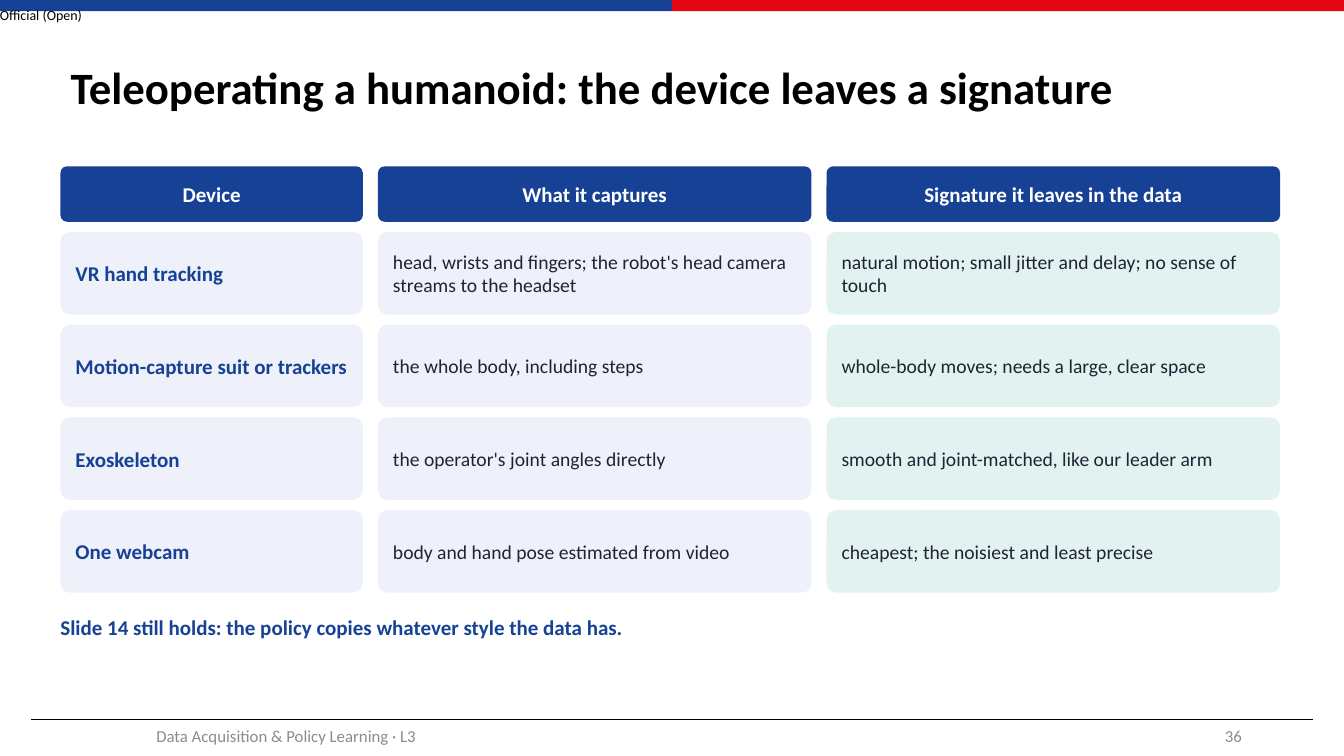
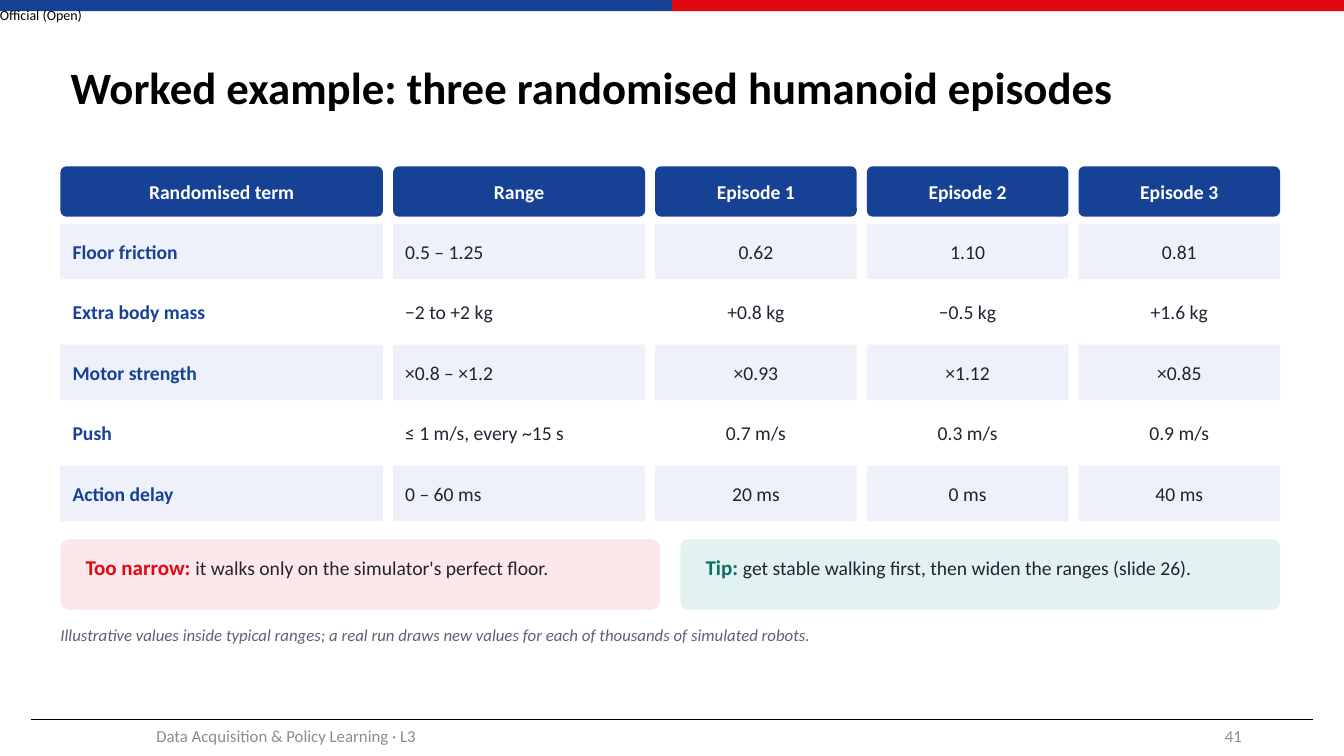
from dataclasses import dataclass, field
from itertools import accumulate

from lxml.etree import SubElement
from pptx import Presentation
from pptx.dml.color import RGBColor as RGB
from pptx.enum.shapes import MSO_CONNECTOR as LINE, MSO_SHAPE as SHAPE
from pptx.enum.text import MSO_ANCHOR as ANCHOR, PP_ALIGN as ALIGN
from pptx.oxml.ns import qn
from pptx.util import Pt


def style(color, size, **more):
    return {"color": color, "size": Pt(size), **more}


@dataclass(frozen=True)
class Theme:
    font: str = "Calibri"
    blue: str = "164194"
    red: str = "E30613"
    black: str = "000000"
    white: str = "FFFFFF"
    pale: str = "EEF1F9"
    mint: str = "E2F2F1"
    rose: str = "FCE8EA"
    wide: float = 960
    high: float = 540
    left: float = 43.2
    top: float = 118.8
    span: float = 871.2
    curve: float = 0.12
    text: dict = field(default_factory=lambda: {
        "title": style("000000", 32, bold=True),
        "mark": style("000000", 10),
        "foot": style("8C8C8C", 12),
        "head": style("FFFFFF", 15, bold=True),
        "key": style("164194", 15, bold=True),
        "head small": style("FFFFFF", 14, bold=True),
        "key small": style("164194", 14, bold=True),
        "body": style("1F2433", 14, bold=False),
        "warn": style("E30613", 15, bold=True),
        "tip": style("0F6E6A", 15, bold=True),
        "note": style("5B6275", 12, italic=True),
    })


T = Theme()
FLUSH = (0, 0, 0, 0)
CELL = (8.64, 4.32, 8.64, 4.32)
INNER = (7.2, 3.6, 7.2, 3.6)
CALL = (16.2, 9, 16.2, 9)


def write(shape, runs, inset, anchor=ANCHOR.MIDDLE, align=ALIGN.LEFT):
    """Fill a shape with one paragraph of (text, style name) runs."""
    frame = shape.text_frame
    sides = ("margin_left", "margin_top", "margin_right", "margin_bottom")
    form = dict(zip(sides, map(Pt, inset)),
                word_wrap=True, vertical_anchor=anchor)
    for name, value in form.items():
        setattr(frame, name, value)
    para = frame.paragraphs[0]
    para.alignment = align
    for text, kind in runs:
        run = para.add_run()
        run.text = text
        run.font.name = T.font
        for name, value in T.text[kind].items():
            if name == "color":
                run.font.color.rgb = RGB.from_string(value)
            else:
                setattr(run.font, name, value)
    return para


def block(slide, box, fill, kind=SHAPE.RECTANGLE):
    shape = slide.shapes.add_shape(kind, *map(Pt, box))
    shape.shadow.inherit = False
    shape.fill.solid()
    shape.fill.fore_color.rgb = RGB.from_string(fill)
    shape.line.fill.background()
    if kind == SHAPE.ROUNDED_RECTANGLE:
        shape.adjustments[0] = T.curve
    return shape


def label(slide, box, text, kind, inset=FLUSH, **form):
    shape = slide.shapes.add_textbox(*map(Pt, box))
    write(shape, [(text, kind)], inset, **form)


def rule(slide, start, end, y):
    line = slide.shapes.add_connector(LINE.STRAIGHT, *map(Pt, (start, y, end, y)))
    line.line.color.rgb = RGB.from_string(T.black)
    line.line.width = Pt(0.5)
    SubElement(line.element.spPr, qn("a:effectLst"))


def start(deck, title, page):
    """Add a slide with the shared bands, title and footer."""
    slide = deck.slides.add_slide(deck.slide_layouts[5])
    half = T.wide / 2
    for i, color in enumerate((T.blue, T.red)):
        block(slide, (i * half, 0, half, 7.92), color)
    label(slide, (0, 0, 81.36, 20.88), "Official (Open)", "mark")
    rule(slide, 22.32, 938.16, 514.08)
    label(slide, (42.48, 511.2, 324, 28.8),
          "Data Acquisition & Policy Learning · L3", "foot", INNER,
          align=ALIGN.CENTER)
    label(slide, (678.24, 511.2, 216, 28.8), str(page), "foot", INNER,
          align=ALIGN.RIGHT)
    head = slide.shapes.title
    place = dict(left=T.left, top=21.6, width=869.76, height=84.96)
    for name, value in place.items():
        setattr(head, name, Pt(value))
    write(head, [(title, "title")], INNER).line_spacing = 0.9
    return slide


def row(slide, y, high, widths, gap, cells):
    """Draw one row of (text, style, fill, align, shape) cells."""
    lefts = accumulate((w + gap for w in widths), initial=T.left)
    for x, wide, (text, kind, fill, align, form) in zip(lefts, widths, cells):
        shape = block(slide, (x, y, wide, high), fill, form)
        write(shape, [(text, kind)], CELL, align=align)


def header(slide, high, widths, gap, names, kind):
    row(slide, T.top, high, widths, gap,
        [(name, kind, T.blue, ALIGN.CENTER, SHAPE.ROUNDED_RECTANGLE)
         for name in names])


def callout(slide, x, wide, lead, kind, text, fill):
    shape = block(slide, (x, 385.2, wide, 50.4), fill, SHAPE.ROUNDED_RECTANGLE)
    write(shape, [(lead, kind), (text, "body")], CALL, anchor=ANCHOR.TOP)


def devices(deck):
    slide = start(deck, "Teleoperating a humanoid: the device leaves a signature", 36)
    widths, gap, space, high = (216, 309.6, 324), 10.8, 7.2, 59.04
    header(slide, 39.6, widths, gap,
           ("Device", "What it captures", "Signature it leaves in the data"),
           "head")
    rows = (
        ("VR hand tracking",
         "head, wrists and fingers; the robot's head camera streams to the headset",
         "natural motion; small jitter and delay; no sense of touch"),
        ("Motion-capture suit or trackers",
         "the whole body, including steps",
         "whole-body moves; needs a large, clear space"),
        ("Exoskeleton",
         "the operator's joint angles directly",
         "smooth and joint-matched, like our leader arm"),
        ("One webcam",
         "body and hand pose estimated from video",
         "cheapest; the noisiest and least precise"),
    )
    kinds, fills = ("key", "body", "body"), (T.pale, T.pale, T.mint)
    first = T.top + 39.6 + space
    for i, texts in enumerate(rows):
        cells = [(text, kind, fill, ALIGN.LEFT, SHAPE.ROUNDED_RECTANGLE)
                 for text, kind, fill in zip(texts, kinds, fills)]
        row(slide, first + i * (high + space), high, widths, gap, cells)
    label(slide, (T.left, 439.2, T.span, 28.8),
          "Slide 14 still holds: the policy copies whatever style the data has.",
          "key", anchor=ANCHOR.TOP)


def episodes(deck):
    slide = start(deck, "Worked example: three randomised humanoid episodes", 41)
    widths, gap, high = (230.4, 180, 144, 144, 144), 7.2, 39.6
    header(slide, 36, widths, gap,
           ("Randomised term", "Range", "Episode 1", "Episode 2", "Episode 3"),
           "head small")
    rows = (
        ("Floor friction", "0.5 – 1.25", "0.62", "1.10", "0.81"),
        ("Extra body mass", "−2 to +2 kg", "+0.8 kg", "−0.5 kg", "+1.6 kg"),
        ("Motor strength", "×0.8 – ×1.2", "×0.93", "×1.12", "×0.85"),
        ("Push", "≤ 1 m/s, every ~15 s", "0.7 m/s", "0.3 m/s", "0.9 m/s"),
        ("Action delay", "0 – 60 ms", "20 ms", "0 ms", "40 ms"),
    )
    kinds = ["key small"] + ["body"] * 4
    aligns = [ALIGN.LEFT] * 2 + [ALIGN.CENTER] * 3
    for i, texts in enumerate(rows):
        fill = T.white if i % 2 else T.pale
        cells = [(text, kind, fill, align, SHAPE.RECTANGLE)
                 for text, kind, align in zip(texts, kinds, aligns)]
        row(slide, 159.84 + i * (high + 3.6), high, widths, gap, cells)
    calls = (
        ("Too narrow: ", "warn",
         "it walks only on the simulator's perfect floor.", T.rose),
        ("Tip: ", "tip",
         "get stable walking first, then widen the ranges (slide 26).", T.mint),
    )
    space = 14.4
    wide = (T.span - space) / 2
    for i, call in enumerate(calls):
        callout(slide, T.left + i * (wide + space), wide, *call)
    label(slide, (T.left, 446.4, T.span, 25.2),
          "Illustrative values inside typical ranges; a real run draws new "
          "values for each of thousands of simulated robots.",
          "note", anchor=ANCHOR.TOP)


def main():
    deck = Presentation()
    deck.slide_width, deck.slide_height = Pt(T.wide), Pt(T.high)
    devices(deck)
    episodes(deck)
    deck.save("out.pptx")


if __name__ == "__main__":
    main()
